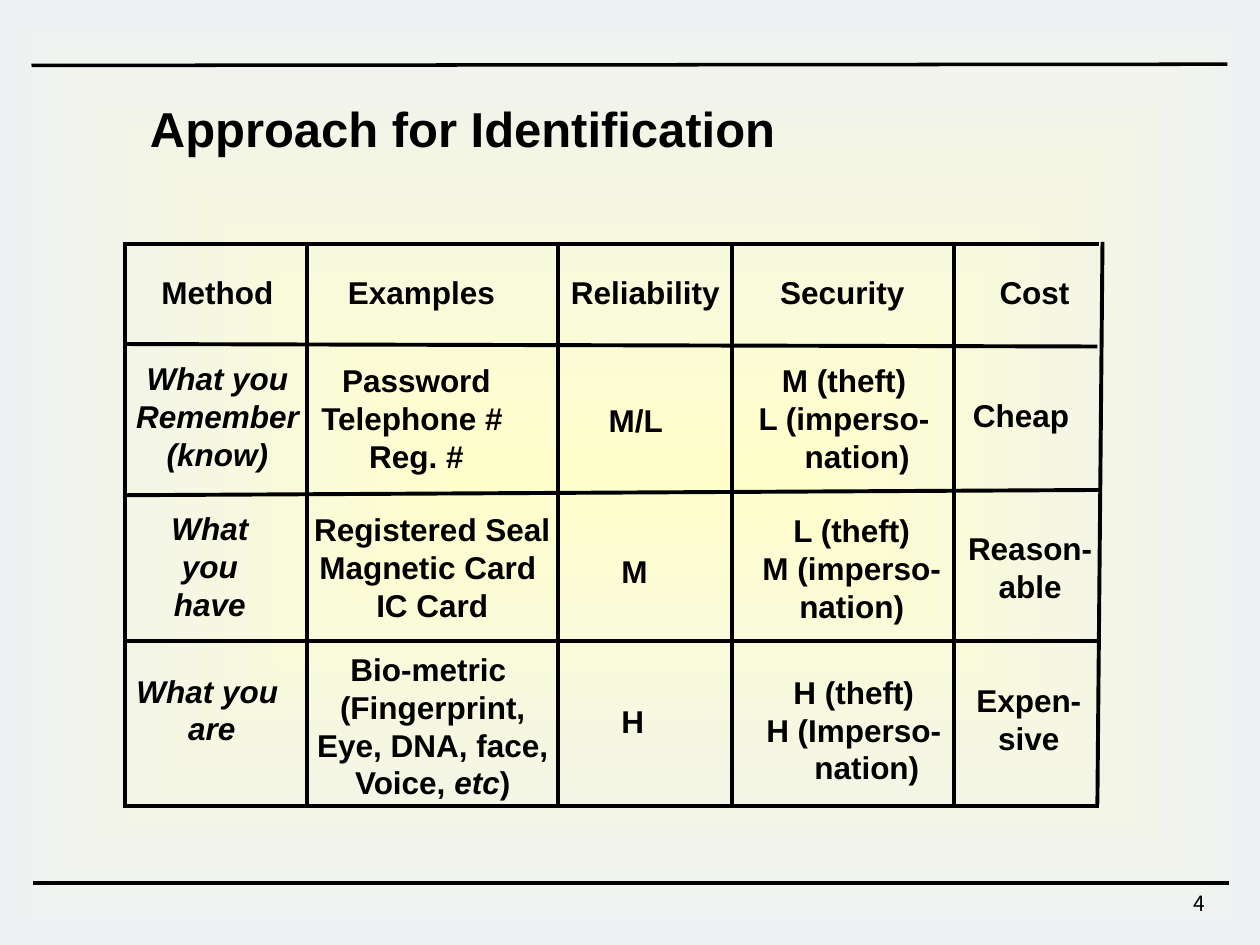
import lxml.etree
import pptx
import pptx.dml.color
import pptx.enum.dml
import pptx.enum.shapes
import pptx.enum.text
import pptx.oxml.ns
import pptx.util

Pt = pptx.util.Pt
qn = pptx.oxml.ns.qn
ALIGN = pptx.enum.text.PP_ALIGN
AUTO_SIZE = pptx.enum.text.MSO_AUTO_SIZE

WIDTH, HEIGHT = 720, 540
INK, CREAM, MIST = "000000", "FFFFCC", "EEF1F2"


def color(hex_value):
    return pptx.dml.color.RGBColor.from_string(hex_value)


class SlideBuilder:
    title_style = {"name": "Arial", "size": Pt(28), "bold": True}
    cell_style = {"name": "Arial", "size": Pt(18), "bold": True}
    number_style = {"name": "Noto Sans CJK KR", "size": Pt(12), "bold": False}
    line_height, inset_height = 21.6, 7.2

    def __init__(self, slide):
        self.slide = slide

    def style_font(self, font, style, italic=False):
        for name, value in {**style, "italic": italic}.items():
            setattr(font, name, value)
        font.color.rgb = color(INK)

    def backdrop(self):
        """Gradient from the centre outwards, behind everything else."""
        panel = self.slide.shapes.add_shape(
            pptx.enum.shapes.MSO_SHAPE.RECTANGLE, 0, 0, Pt(WIDTH), Pt(HEIGHT))
        panel.shadow.inherit = False
        panel.line.fill.background()
        panel.fill.gradient()
        for stop, (place, shade) in zip(panel.fill.gradient_stops, [(0, CREAM), (1, MIST)]):
            stop.position = place
            stop.color.rgb = color(shade)
        gradient = panel._element.spPr.find(qn("a:gradFill"))
        gradient.remove(gradient.find(qn("a:lin")))
        spread = lxml.etree.SubElement(gradient, qn("a:path"), {"path": "shape"})
        lxml.etree.SubElement(spread, qn("a:fillToRect"), dict.fromkeys("ltrb", "50000"))
        self.slide.shapes._spTree.insert(2, panel._element)

    def title(self, text, left, top, width, height):
        heading = self.slide.shapes.title
        heading.left, heading.top = Pt(left), Pt(top)
        heading.width, heading.height = Pt(width), Pt(height)
        self.fill_frame(heading.text_frame, [text], self.title_style, ALIGN.LEFT)

    def fill_frame(self, frame, lines, style, align, italic=False, wrap=False):
        """A line is a string, or a tuple whose odd items are italic."""
        frame.word_wrap = wrap
        frame.auto_size = AUTO_SIZE.SHAPE_TO_FIT_TEXT
        frame.vertical_anchor = pptx.enum.text.MSO_ANCHOR.TOP
        for index, line in enumerate(lines):
            paragraph = frame.paragraphs[0] if index == 0 else frame.add_paragraph()
            paragraph.alignment = align
            pieces = (line,) if isinstance(line, str) else line
            for position, piece in enumerate(pieces):
                run = paragraph.add_run()
                run.text = piece
                self.style_font(run.font, style, italic or position % 2 == 1)

    def cell(self, left, top, width, lines, italic=False, wrap=False, rows=None, last_indent=0):
        height = (rows or len(lines)) * self.line_height + self.inset_height
        box = self.slide.shapes.add_textbox(Pt(left), Pt(top), Pt(width), Pt(height))
        self.fill_frame(box.text_frame, lines, self.cell_style, ALIGN.CENTER, italic, wrap)
        if last_indent:
            last = box.text_frame.paragraphs[-1]._p.get_or_add_pPr()
            last.set("marL", str(Pt(last_indent)))

    def page_number(self, text, left, top, width, height):
        box = self.slide.shapes.add_textbox(Pt(left), Pt(top), Pt(width), Pt(height))
        self.fill_frame(box.text_frame, [text], self.number_style, ALIGN.RIGHT, wrap=True)
        box.text_frame.auto_size = AUTO_SIZE.NONE

    def rule(self, x1, y1, x2, y2, weight):
        line = self.slide.shapes.add_connector(
            pptx.enum.shapes.MSO_CONNECTOR.STRAIGHT, Pt(x1), Pt(y1), Pt(x2), Pt(y2))
        line.line.color.rgb = color(INK)
        line.line.width = Pt(weight)
        lxml.etree.SubElement(line._element.spPr, qn("a:effectLst"))


# Header row: left, width, label
HEADER_TOP = 152.6
HEADERS = [
    (85, 78.5, "Method"), (191.5, 98.6, "Examples"), (319, 99.4, "Reliability"),
    (438.5, 85.7, "Security"), (563.8, 54.7, "Cost"),
]

# Body cells: left, top, width, lines, options
SLANTED = {"italic": True}
INDENTED = {"last_indent": 15}
CELLS = [
    # Something remembered
    (70.6, 201.6, 107.3, ["What you", "Remember", "(know)"], SLANTED),
    (175.7, 203, 124.6, ["Password", "Telephone # ", "Reg. #"], {}),
    (340.6, 225.4, 45.4, ["M/L"], {}),
    (426.2, 203, 112.3, ["M (theft)", "L (imperso-", "nation)"], INDENTED),
    (548.6, 222.5, 69.8, ["Cheap"], {}),
    # Something owned
    (79.2, 287.3, 81.4, ["What you have"], {"italic": True, "wrap": True, "rows": 3}),
    (172.1, 288, 149.8, ["Registered Seal", "Magnetic Card ", "IC Card"], {}),
    (347.8, 311.8, 29.5, ["M"], {}),
    (428.4, 288.7, 116.6, ["L (theft)", "M (imperso-", "nation)"], {}),
    (545.8, 298.8, 85.7, ["Reason-", "able"], {}),
    # Something inherent
    (70.6, 380.2, 100.8, ["What you ", "are"], SLANTED),
    (174.2, 367.9, 146.2,
     ["Bio-metric ", "(Fingerprint,", "Eye, DNA, face,", ("Voice, ", "etc", ")")], {}),
    (347.8, 397.4, 27.4, ["H"], {}),
    (430.6, 380.9, 114.5, ["H (theft)", "H (Imperso-", "nation)"], INDENTED),
    (550.8, 385.9, 74.2, ["Expen-", "sive"], {}),
]

# Hand-drawn grid: some rules lean slightly
ROW_RULES = [
    (71.3, 139.7, 627.8, 139.7), (71.3, 196.6, 627.1, 198), (72, 283, 628.6, 280),
    (72, 366.5, 629.3, 366.5), (71.3, 460.8, 627.8, 460.8),
]
COLUMN_RULES = [(71.3, 138.2, 71.3, 461.5), (175.7, 139.7, 175.7, 460.8)]
COLUMN_RULES += [(x, 140.4, x, 461.5) for x in (319, 418.3, 545)]
COLUMN_RULES += [(630, 138.2, 627.1, 459.4)]
PAGE_RULES = [(18, 37.4, 701.3, 36.7), (18.7, 504.7, 702, 504.7)]


def main():
    deck = pptx.Presentation()
    deck.slide_width, deck.slide_height = Pt(WIDTH), Pt(HEIGHT)
    page = SlideBuilder(deck.slides.add_slide(deck.slide_layouts[5]))

    # Page frame
    page.backdrop()
    for ends in PAGE_RULES:
        page.rule(*ends, weight=2)
    page.page_number("4", 635.8, 505.4, 59.8, 26.6)
    page.title("Approach for Identification", 78.5, 52.6, 373, 41)

    # Comparison grid
    for left, width, label in HEADERS:
        page.cell(left, HEADER_TOP, width, [label])
    for left, top, width, lines, options in CELLS:
        page.cell(left, top, width, lines, **options)
    for ends in ROW_RULES + COLUMN_RULES:
        page.rule(*ends, weight=2.25)

    deck.save("out.pptx")


if __name__ == "__main__":
    main()
